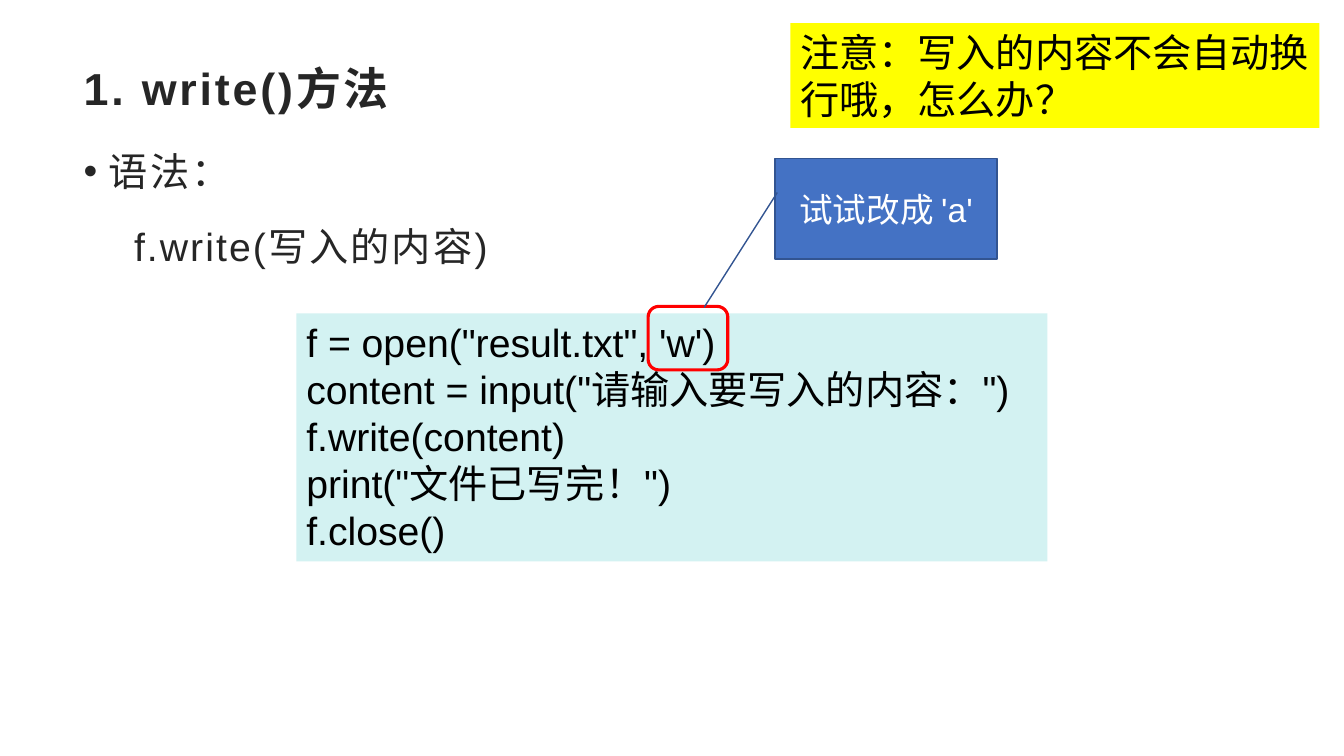
from dataclasses import dataclass

from lxml import etree
from pptx import Presentation
from pptx.dml.color import RGBColor
from pptx.enum.shapes import MSO_SHAPE
from pptx.enum.text import MSO_ANCHOR, MSO_AUTO_SIZE, PP_ALIGN
from pptx.oxml.ns import qn
from pptx.util import Pt

RECTANGLE = MSO_SHAPE.RECTANGLE
ROUNDED = MSO_SHAPE.ROUNDED_RECTANGLE
CALLOUT = MSO_SHAPE.LINE_CALLOUT_1
TOP, MIDDLE = MSO_ANCHOR.TOP, MSO_ANCHOR.MIDDLE
LEFT, CENTER = PP_ALIGN.LEFT, PP_ALIGN.CENTER
NO_AUTOFIT = MSO_AUTO_SIZE.NONE


@dataclass(frozen=True)
class Theme:
    font: str = "Arial"
    heading: str = "262626"
    ink: str = "000000"
    white: str = "FFFFFF"
    code_fill: str = "D3F2F2"
    note_fill: str = "FFFF00"
    callout_fill: str = "4472C4"
    callout_line: str = "325491"
    highlight: str = "FF0000"
    title_size: int = 32
    text_size: int = 28
    callout_size: int = 24


THEME = Theme()

CODE = [
    "f = open(\"result.txt\", 'w')",
    'content = input("请输入要写入的内容：")',
    "f.write(content)",
    'print("文件已写完！")',
    "f.close()",
]


def color(value):
    return RGBColor.from_string(value)


def place(shape, left, top, width, height):
    shape.left, shape.top = Pt(left), Pt(top)
    shape.width, shape.height = Pt(width), Pt(height)


def set_bullet(paragraph, bullet, margin, indent):
    """Set the indents in points and the bullet character, or none if it is empty."""
    properties = paragraph._p.get_or_add_pPr()
    properties.set("marL", str(Pt(margin)))
    properties.set("indent", str(Pt(indent)))
    if bullet:
        etree.SubElement(properties, qn("a:buChar")).set("char", bullet)
    else:
        etree.SubElement(properties, qn("a:buNone"))


def write(paragraph, text, *, size=THEME.text_size, ink=THEME.ink, bold=False,
          align=LEFT, tracking=0, line_spacing=1.0, space_after=0):
    paragraph.alignment = align
    paragraph.line_spacing = line_spacing
    paragraph.space_before = Pt(0)
    paragraph.space_after = Pt(space_after)
    run = paragraph.add_run()
    run.text = text
    run.font.name = THEME.font
    run.font.size = Pt(size)
    run.font.bold = bold
    run.font.color.rgb = color(ink)
    if tracking:
        run._r.get_or_add_rPr().set("spc", str(int(tracking * 100)))


def add_box(slide, kind, box, lines=(), *, fill=None, line=None, line_width=1,
            anchor=TOP, **text_format):
    shape = slide.shapes.add_shape(kind, *map(Pt, box))
    shape.shadow.inherit = False
    if fill:
        shape.fill.solid()
        shape.fill.fore_color.rgb = color(fill)
    else:
        shape.fill.background()
    if line:
        shape.line.color.rgb = color(line)
        shape.line.width = Pt(line_width)
    else:
        shape.line.fill.background()
    frame = shape.text_frame
    frame.word_wrap = True
    frame.vertical_anchor = anchor
    for index, text in enumerate(lines):
        paragraph = frame.add_paragraph() if index else frame.paragraphs[0]
        write(paragraph, text, **text_format)
    return shape


def fill_title(slide, text):
    title = slide.shapes.title
    place(title, 52.56, 34.56, 854.64, 56.16)
    title.text_frame.auto_size = NO_AUTOFIT
    title.text_frame.vertical_anchor = MIDDLE
    write(title.text_frame.paragraphs[0], text, size=THEME.title_size,
          ink=THEME.heading, bold=True, tracking=2)


def fill_body(slide, heading, syntax):
    body = slide.placeholders[1]
    place(body, 52.56, 91.44, 854.64, 408.24)
    frame = body.text_frame
    frame.auto_size = NO_AUTOFIT
    frame.vertical_anchor = TOP
    heading_paragraph, syntax_paragraph = frame.paragraphs[0], frame.add_paragraph()
    syntax_paragraph.level = 1
    set_bullet(heading_paragraph, "•", 18, -18)
    set_bullet(syntax_paragraph, "", 36, 0)
    for paragraph, text in ((heading_paragraph, heading), (syntax_paragraph, syntax)):
        write(paragraph, text, ink=THEME.heading, tracking=1.5,
              line_spacing=1.3, space_after=10)


def add_callout(slide, box, text, adjustments):
    callout = add_box(slide, CALLOUT, box, [text], fill=THEME.callout_fill,
                      line=THEME.callout_line, anchor=MIDDLE, align=CENTER,
                      size=THEME.callout_size, ink=THEME.white)
    for index, value in enumerate(adjustments):
        callout.adjustments[index] = value


def main():
    presentation = Presentation()
    presentation.slide_width, presentation.slide_height = Pt(960), Pt(540)
    slide = presentation.slides.add_slide(presentation.slide_layouts[1])
    fill_title(slide, "1. write()方法")
    fill_body(slide, "语法：", "f.write(写入的内容)")
    add_box(slide, RECTANGLE, (211.68, 223.92, 536.4, 177.12), CODE,
            fill=THEME.code_fill)
    add_box(slide, ROUNDED, (462.96, 218.88, 56.88, 45.36),
            line=THEME.highlight, line_width=2.25)
    add_callout(slide, (553.68, 113.04, 158.4, 72), "试试改成 'a'",
                (0.34, 0.01, 1.48, -0.32))
    add_box(slide, RECTANGLE, (564.48, 16.56, 378, 74.88),
            ["注意：写入的内容不会自动换行哦，怎么办？"], fill=THEME.note_fill)
    presentation.save("out.pptx")


if __name__ == "__main__":
    main()
